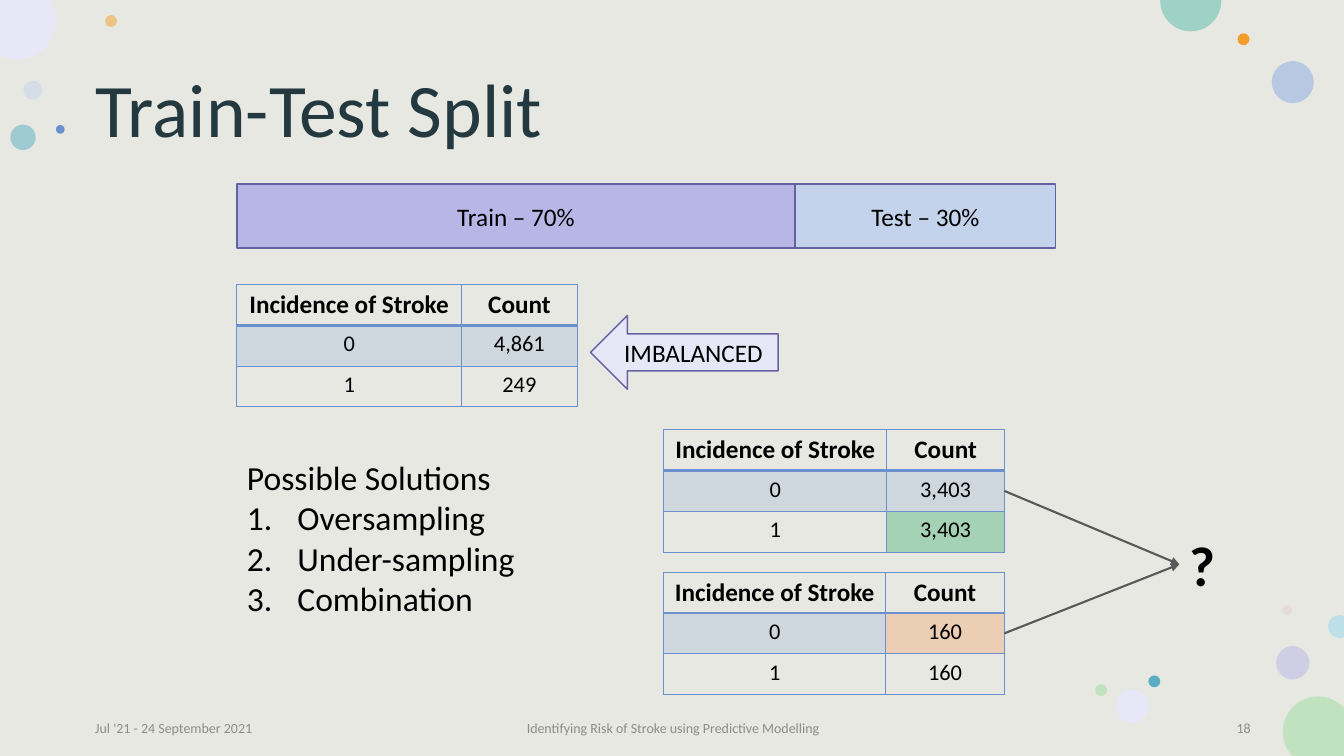
import collections
import dataclasses
import math

import pptx
import pptx.dml.color
import pptx.enum.shapes
import pptx.enum.text
import pptx.oxml
import pptx.oxml.ns
import pptx.util

Cm = pptx.util.Cm
Pt = pptx.util.Pt
qn = pptx.oxml.ns.qn
Align = pptx.enum.text.PP_ALIGN
Anchor = pptx.enum.text.MSO_ANCHOR
Shape = pptx.enum.shapes.MSO_SHAPE
Box = collections.namedtuple("Box", "left top width height")
SLIDE = Box(0, 0, 33.87, 19.05)


@dataclasses.dataclass(frozen=True)
class Theme:
    """Colours, font and type sizes of the deck."""
    font: str = "Calibri"
    paper: str = "E8E8E2"
    heading: str = "24393F"
    ink: str = "000000"
    muted: str = "8C8C8C"
    arrow: str = "595959"
    outline: str = "65629F"
    lilac: str = "B8B6E7"
    mist: str = "E7E7F7"
    sky: str = "C3D3EB"
    grid: str = "6A90CE"
    raised: str = "A4D2B5"
    lowered: str = "FF6600"
    teal: str = "5AAEC3"
    orange: str = "F39E29"
    leaf: str = "C0E2BF"
    periwinkle: str = "A6BCE2"
    rose: str = "E3BEBE"
    mint: str = "9ED2C7"
    ice: str = "BDDFE7"
    title_size: int = 54
    mark_size: int = 40
    list_size: int = 24
    label_size: int = 18
    count_size: int = 16
    footer_size: int = 10


THEME = Theme()


def emu(box):
    """Convert a box in centimetres to lengths."""
    return [Cm(length) for length in box]


def add_xml(parent, markup, index=None):
    """Insert a drawing element into its parent."""
    tag, _, rest = markup.partition(" ")
    element = pptx.oxml.parse_xml(f"<a:{tag} {pptx.oxml.ns.nsdecls('a')} {rest}")
    parent.insert(len(parent) if index is None else index, element)


def paint(fill, colour, properties=None, opacity=100):
    """Give a fill one solid colour, partly transparent below 100."""
    fill.solid()
    fill.fore_color.rgb = pptx.dml.color.RGBColor.from_string(colour)
    if opacity < 100:
        add_xml(properties.find(qn("a:solidFill"))[0], f'alpha val="{opacity * 1000}"/>')


def write(frame, text, size, colour=THEME.ink, align=Align.LEFT, bold=False, anchor=Anchor.MIDDLE):
    """Write text into a frame and format it."""
    frame.text = text
    frame.vertical_anchor = anchor
    for paragraph in frame.paragraphs:
        paragraph.alignment = align
        for run in paragraph.runs:
            run.font.name, run.font.size, run.font.bold = THEME.font, Pt(size), bold
            paint(run.font.fill, colour)


def draw_backdrop(slide, box):
    """Cover the box with the paper colour, behind everything else."""
    backdrop = slide.shapes.add_shape(Shape.RECTANGLE, *emu(box))
    backdrop.shadow.inherit = False
    paint(backdrop.fill, THEME.paper)
    backdrop.line.fill.background()
    slide.shapes._spTree.insert(2, backdrop._element)


def cut_circle(slide, box, x, y, radius, start, end, corners):
    """Build the visible arc of a circle, closed through the corners."""
    def place(px, py):
        return (Cm(min(max(px, box.left), box.left + box.width)),
                Cm(min(max(py, box.top), box.top + box.height)))

    quadrants = [a for a in range(0, 360, 90) if start < a < end]
    angles = [math.radians(a) for a in (start, *quadrants, end)]
    points = []
    for a, b in zip(angles, angles[1:]):
        pull = 4 / 3 * math.tan((b - a) / 4)
        for angle, reach in ((a, pull), (b, -pull), (b, 0)):
            points.append(place(x + radius * (math.cos(angle) - reach * math.sin(angle)),
                                y + radius * (math.sin(angle) + reach * math.cos(angle))))
    origin = place(x + radius * math.cos(angles[0]), y + radius * math.sin(angles[0]))
    outline = slide.shapes.build_freeform(*origin, scale=1.0)
    outline.add_line_segments(points + [place(*corner) for corner in corners], close=True)
    circle = outline.convert_to_shape()
    steps = list(circle._element.iter(qn("a:lnTo")))[:len(points)]
    for first, second, last in zip(steps[::3], steps[1::3], steps[2::3]):
        first.tag = qn("a:cubicBezTo")
        for step in (second, last):
            first.append(step[0])
            step.getparent().remove(step)
    return circle


def draw_bubbles(slide, box, bubbles):
    """Draw circles; those cut by an edge also give their visible arc."""
    for x, y, radius, colour, opacity, *arc in bubbles:
        if arc:
            bubble = cut_circle(slide, box, x, y, radius, *arc)
        else:
            bubble = slide.shapes.add_shape(
                Shape.OVAL, *emu((x - radius, y - radius, 2 * radius, 2 * radius)))
        bubble.shadow.inherit = False
        paint(bubble.fill, colour, bubble._element.spPr, opacity)
        bubble.line.fill.background()


def draw_label(slide, box, kind, text, colour):
    """Draw an outlined shape with a centred label."""
    label = slide.shapes.add_shape(kind, *emu(box))
    label.shadow.inherit = False
    paint(label.fill, colour)
    paint(label.line.fill, THEME.outline)
    label.line.width = Pt(1)
    write(label.text_frame, text, THEME.label_size, align=Align.CENTER)


def draw_split(slide, box, train_width):
    """Draw the bar that divides the data into train and test."""
    draw_label(slide, box._replace(width=train_width), Shape.RECTANGLE, "Train – 70%", THEME.lilac)
    test = box._replace(left=box.left + train_width, width=box.width - train_width)
    draw_label(slide, test, Shape.RECTANGLE, "Test – 30%", THEME.sky)


def draw_counts(slide, box, incidence_width, counts, tints):
    """Draw a table of stroke counts; tints maps (row, column) to a fill."""
    rows = [("Incidence of Stroke", "Count"), ("0", counts[0]), ("1", counts[1])]
    table = slide.shapes.add_table(len(rows), 2, *emu(box)).table
    table.first_row = table.horz_banding = False
    table.columns[0].width = Cm(incidence_width)
    table.columns[1].width = Cm(box.width - incidence_width)
    fills = {(1, 0): (THEME.grid, 20), (1, 1): (THEME.grid, 20), **tints}
    for r, row in enumerate(rows):
        table.rows[r].height = Cm(box.height / len(rows))
        for c, text in enumerate(row):
            cell = table.cell(r, c)
            size = THEME.label_size if r == 0 else THEME.count_size
            write(cell.text_frame, text, size, align=Align.CENTER, bold=r == 0, anchor=Anchor.TOP)
            properties = cell._tc.get_or_add_tcPr()
            if (r, c) in fills:
                colour, opacity = fills[r, c]
                paint(cell.fill, colour, properties, opacity)
            else:
                cell.fill.background()
            for index, side in enumerate("LRTB"):
                width = Pt(2 if (r, side) in ((0, "B"), (1, "T")) else 1)
                add_xml(properties, f'ln{side} w="{width}"><a:solidFill><a:srgbClr val="{THEME.grid}"/>'
                                    f'</a:solidFill></a:ln{side}>', index)


def draw_question(slide, box, starts):
    """Draw the question mark and the arrows that lead to it."""
    question = slide.shapes.add_textbox(*emu(box))
    write(question.text_frame, "?", THEME.mark_size, bold=True, anchor=Anchor.TOP)
    question.text_frame.word_wrap = False
    for x, y in starts:
        arrow = slide.shapes.add_connector(
            pptx.enum.shapes.MSO_CONNECTOR.STRAIGHT, Cm(x), Cm(y),
            Cm(box.left), Cm(box.top + box.height / 2))
        arrow.end_connect(question, 1)
        paint(arrow.line.fill, THEME.arrow)
        arrow.line.width = Pt(1.5)
        add_xml(arrow.line._get_or_add_ln(), 'tailEnd type="triangle"/>')
        add_xml(arrow._element.spPr, "effectLst />")


def place_title(slide, box, text):
    """Place the slide title."""
    title = slide.shapes.title
    title.left, title.top, title.width, title.height = emu(box)
    write(title.text_frame, text, THEME.title_size, THEME.heading)
    title.text_frame.paragraphs[0].line_spacing = 0.9


def place_solutions(slide, box, heading, solutions):
    """Place the numbered list of solutions under its heading."""
    body = slide.placeholders[1]
    body.left, body.top, body.width, body.height = emu(box)
    write(body.text_frame, "\n".join([heading, *solutions]), THEME.list_size, anchor=Anchor.TOP)
    for number, paragraph in enumerate(body.text_frame.paragraphs):
        paragraph.space_before = Pt(0)
        properties = paragraph._p.get_or_add_pPr()
        indent = Cm(1.27) if number else 0
        properties.set("marL", str(indent))
        properties.set("indent", str(-indent))
        add_xml(properties, 'buAutoNum type="arabicPeriod"/>' if number else "buNone />")


def place_footer(slide, box, period, subject, page):
    """Place the date, subject and page number along the bottom."""
    side, middle = 7.62, 11.43
    for text, left, width, align in (
            (period, box.left, side, Align.LEFT),
            (subject, box.left + (box.width - middle) / 2, middle, Align.CENTER),
            (page, box.left + box.width - side, side, Align.RIGHT)):
        note = slide.shapes.add_textbox(*emu(box._replace(left=left, width=width)))
        note.text_frame.word_wrap = True
        write(note.text_frame, text, THEME.footer_size, THEME.muted, align)


def main():
    """Build the train-test split slide."""
    deck = pptx.Presentation()
    deck.slide_width, deck.slide_height = Cm(SLIDE.width), Cm(SLIDE.height)
    slide = deck.slides.add_slide(deck.slide_layouts[1])
    draw_backdrop(slide, SLIDE)
    draw_bubbles(slide, SLIDE, [
        (0.83, 2.27, 0.24, THEME.sky, 50), (2.8, 0.53, 0.15, THEME.orange, 50),
        (32.58, 16.7, 0.42, THEME.lilac, 50), (0.58, 3.46, 0.32, THEME.teal, 50),
        (32.58, 2.07, 0.53, THEME.periwinkle, 72), (31.34, 0.99, 0.15, THEME.orange, 100),
        (32.44, 15.37, 0.13, THEME.rose, 28), (29.09, 17.17, 0.15, THEME.teal, 100),
        (28.54, 17.79, 0.42, THEME.mist, 100), (27.75, 17.39, 0.15, THEME.leaf, 100),
        (33.22, 18.44, 0.89, THEME.leaf, 100, 137, 317, [(33.87, 19.05)]),
        (0.43, 0.51, 0.99, THEME.mist, 100, -31, 116, [(0, 0)]),
        (30.01, 0.02, 0.77, THEME.mint, 100, -2, 182, []), (1.52, 3.26, 0.11, THEME.grid, 100),
        (33.76, 15.79, 0.29, THEME.ice, 100, 68, 292, [])])
    place_title(slide, Box(2.16, 1.02, 29.62, 3.68), "Train-Test Split")
    draw_split(slide, Box(5.97, 4.64, 20.63, 1.61), 14.07)

    observed = Box(5.97, 7.17, 8.58, 3.08)
    oversampled = observed._replace(left=16.73, top=10.83)
    undersampled = oversampled._replace(top=14.42)
    draw_counts(slide, observed, 5.66, ("4,861", "249"), {})
    draw_counts(slide, oversampled, 5.62, ("3,403", "3,403"), {(2, 1): (THEME.raised, 100)})
    draw_counts(slide, undersampled, 5.59, ("160", "160"), {(1, 1): (THEME.lowered, 20)})
    draw_question(slide, Box(29.72, 13.24, 1.17, 1.96),
                  [(box.left + box.width, box.top + box.height / 2)
                   for box in (oversampled, undersampled)])
    place_solutions(slide, Box(5.97, 11.39, 8.33, 4.37), "Possible Solutions",
                    ["Oversampling", "Under-sampling", "Combination"])
    draw_label(slide, Box(14.88, 7.95, 4.73, 1.86), Shape.LEFT_ARROW, "IMBALANCED", THEME.mist)
    place_footer(slide, Box(2.15, 18.02, 29.62, 0.66), "Jul '21 - 24 September 2021",
                 "Identifying Risk of Stroke using Predictive Modelling", "18")
    deck.save("out.pptx")


if __name__ == "__main__":
    main()
